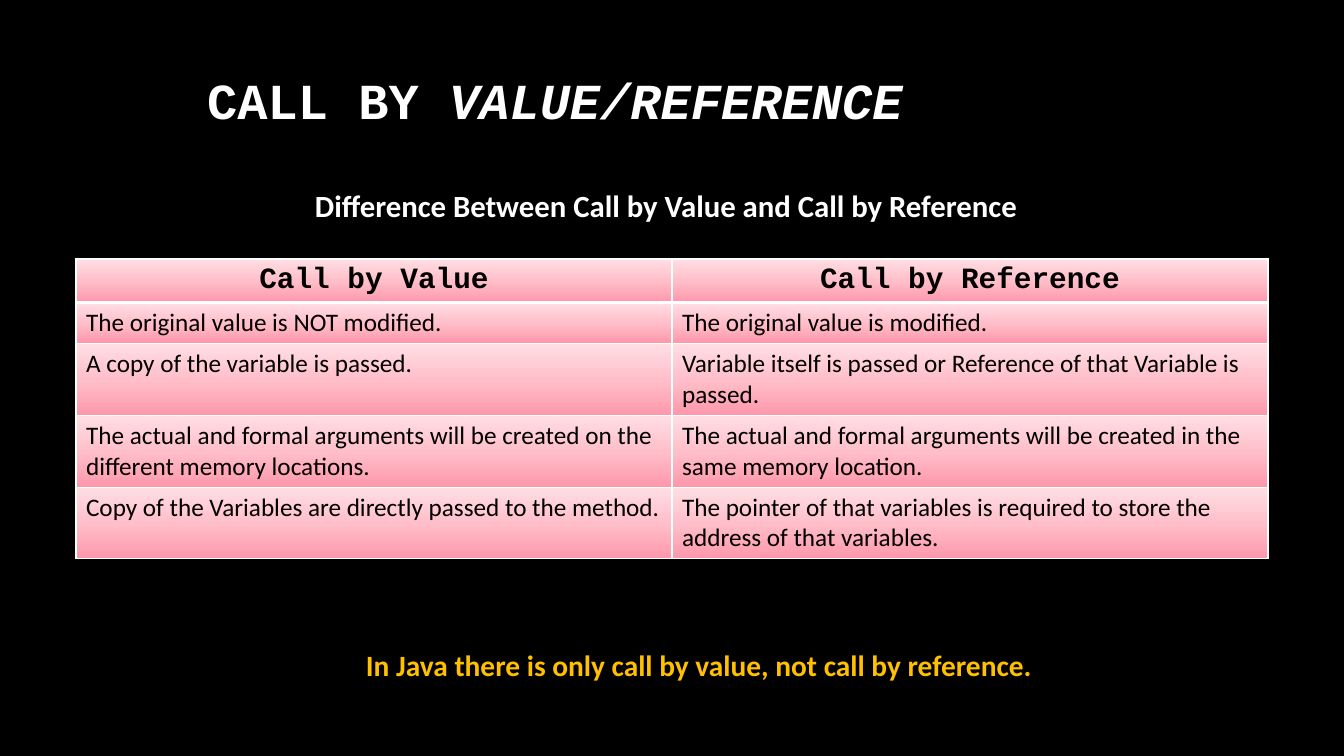
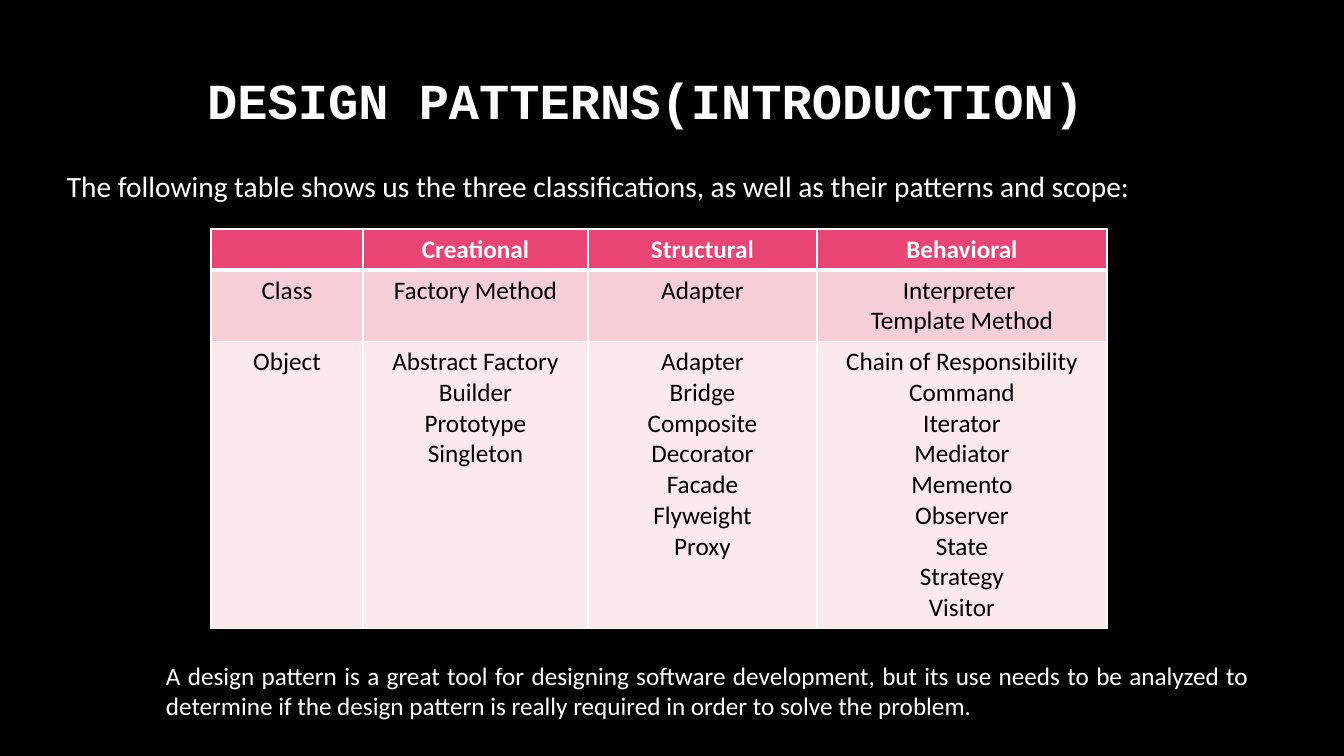
"""Build two dark slides, each with a title, a table and notes around it."""
from pptx import Presentation
from pptx.dml.color import RGBColor
from pptx.enum.text import MSO_ANCHOR as Anchor, MSO_AUTO_SIZE as Fit, PP_ALIGN as Align
from pptx.oxml import parse_xml
from pptx.oxml.ns import nsdecls
from pptx.util import Pt

PX = 914400 / 100.8
BLACK, WHITE, GOLD = "000000", "FFFFFF", "FFC000"
ROSE, PINK, PALE = "E84574", "F6CFD6", "FBE9EB"
BLUSH = [(0, "FF97AB"), (50, "FFBFCA"), (100, "FFDFE4")]
MONO, SANS = "Courier New", "Calibri"
TITLE = {"name": MONO, "size": 36, "bold": True, "color": WHITE}
BODY = {"name": SANS, "size": 18, "bold": False, "color": BLACK}

DECK = [
    {
        "title": [("CALL BY ", False), ("VALUE/REFERENCE", True)],
        "box": (197, 45, 883, 109),
        "table": {
            "at": (76, 259),
            "cols": [596, 596],
            "rows": [43, 41, 72, 71, 71],
            "fills": [BLUSH] * 5,
            "head": {**BODY, "name": MONO, "size": 21, "bold": True},
            "align": Align.LEFT,
            "cells": [
                ["Call by Value", "Call by Reference"],
                ["The original value is NOT modified.",
                 "The original value is modified."],
                ["A copy of the variable is passed.",
                 "Variable itself is passed or Reference of that Variable is passed."],
                ["The actual and formal arguments will be created on the "
                 "different memory locations.",
                 "The actual and formal arguments will be created in the "
                 "same memory location."],
                ["Copy of the Variables are directly passed to the method.",
                 "The pointer of that variables is required to store the "
                 "address of that variables."],
            ],
        },
        "notes": [
            ("In Java there is only call by value, not call by reference.",
             (356, 642, 694, 45), {"size": 21, "bold": True, "color": GOLD}, False),
            ("Difference Between Call by Value and Call by Reference",
             (305, 182, 732, 47), {"size": 22, "bold": True}, False),
        ],
    },
    {
        "title": [("DESIGN PATTERNS(INTRODUCTION)", False)],
        "box": (197, 45, 930, 109),
        "table": {
            "at": (211, 229),
            "cols": [152, 225, 229, 290],
            "rows": [41, 70, 283],
            "fills": [ROSE, PINK, PALE],
            "head": {**BODY, "bold": True, "color": WHITE},
            "align": Align.CENTER,
            "cells": [
                ["", "Creational", "Structural", "Behavioral"],
                ["Class", "Factory Method", "Adapter", "Interpreter \nTemplate Method"],
                ["Object",
                 "Abstract Factory\nBuilder\nPrototype\nSingleton",
                 "Adapter\nBridge\nComposite\nDecorator\nFacade\nFlyweight\nProxy",
                 "Chain of Responsibility\nCommand\nIterator\nMediator\nMemento\n"
                 "Observer\nState\nStrategy\nVisitor"],
            ],
        },
        "notes": [
            ("The following table shows us the three classifications, "
             "as well as their patterns and scope:",
             (57, 163, 1202, 45), {"size": 21}, True),
            ("A design pattern is a great tool for designing software development, "
             "but its use needs to be analyzed to determine if the design pattern "
             "is really required in order to solve the problem.",
             (156, 655, 1103, 72), {}, True),
        ],
    },
]


def px(num):
    return round(num * PX)


def rgb(code):
    return RGBColor.from_string(code)


def style(font, form):
    for key, val in form.items():
        if key == "color":
            font.color.rgb = rgb(val)
        else:
            setattr(font, key, Pt(val) if key == "size" else val)


def write(frame, text, form, align):
    frame.text = text
    for para in frame.paragraphs:
        para.alignment = align
        style(para.font, form)
        for run in para.runs:
            style(run.font, form)


def paint(cell, fill):
    if isinstance(fill, str):
        cell.fill.solid()
        cell.fill.fore_color.rgb = rgb(fill)
        return
    stops = "".join(f'<a:gs pos="{pos * 1000}"><a:srgbClr val="{code}"/></a:gs>'
                    for pos, code in fill)
    cell._tc.get_or_add_tcPr().append(parse_xml(
        f'<a:gradFill {nsdecls("a")} rotWithShape="1"><a:gsLst>{stops}</a:gsLst>'
        '<a:lin ang="16200000" scaled="0"/></a:gradFill>'))


def edge(cell, row):
    wide = {"L": 1, "R": 1, "T": 3 if row == 1 else 1, "B": 3 if row == 0 else 1}
    for pos, (side, size) in enumerate(wide.items()):
        cell._tc.get_or_add_tcPr().insert(pos, parse_xml(
            f'<a:ln{side} {nsdecls("a")} w="{Pt(size)}"><a:solidFill>'
            f'<a:srgbClr val="{WHITE}"/></a:solidFill></a:ln{side}>'))


def add_title(slide, parts, box):
    head = slide.shapes.title
    head.left, head.top, head.width, head.height = map(px, box)
    frame = head.text_frame
    frame.auto_size = Fit.NONE
    frame.vertical_anchor = Anchor.MIDDLE
    para = frame.paragraphs[0]
    para.alignment = Align.LEFT
    for text, slant in parts:
        run = para.add_run()
        run.text = text
        style(run.font, {**TITLE, "italic": slant})


def add_grid(slide, data):
    cols, rows = data["cols"], data["rows"]
    area = map(px, (*data["at"], sum(cols), sum(rows)))
    grid = slide.shapes.add_table(len(rows), len(cols), *area).table
    for col, wide in zip(grid.columns, cols):
        col.width = px(wide)
    for row, high in zip(grid.rows, rows):
        row.height = px(high)
    for i, line in enumerate(data["cells"]):
        form = BODY if i else data["head"]
        align = data["align"] if i else Align.CENTER
        for j, text in enumerate(line):
            cell = grid.cell(i, j)
            write(cell.text_frame, text, form, align)
            paint(cell, data["fills"][i])
            edge(cell, i)


def add_note(slide, text, box, form, wrap):
    frame = slide.shapes.add_textbox(*map(px, box)).text_frame
    frame.word_wrap = wrap
    frame.auto_size = Fit.SHAPE_TO_FIT_TEXT
    align = Align.JUSTIFY if wrap else Align.LEFT
    write(frame, text, {**BODY, "color": WHITE, **form}, align)


def main():
    deck = Presentation()
    deck.slide_width, deck.slide_height = px(1344), px(756)
    back = deck.slide_master.background.fill
    back.solid()
    back.fore_color.rgb = rgb(BLACK)
    for data in DECK:
        slide = deck.slides.add_slide(deck.slide_layouts[5])
        add_title(slide, data["title"], data["box"])
        add_grid(slide, data["table"])
        for note in data["notes"]:
            add_note(slide, *note)
    deck.save("out.pptx")


if __name__ == "__main__":
    main()
